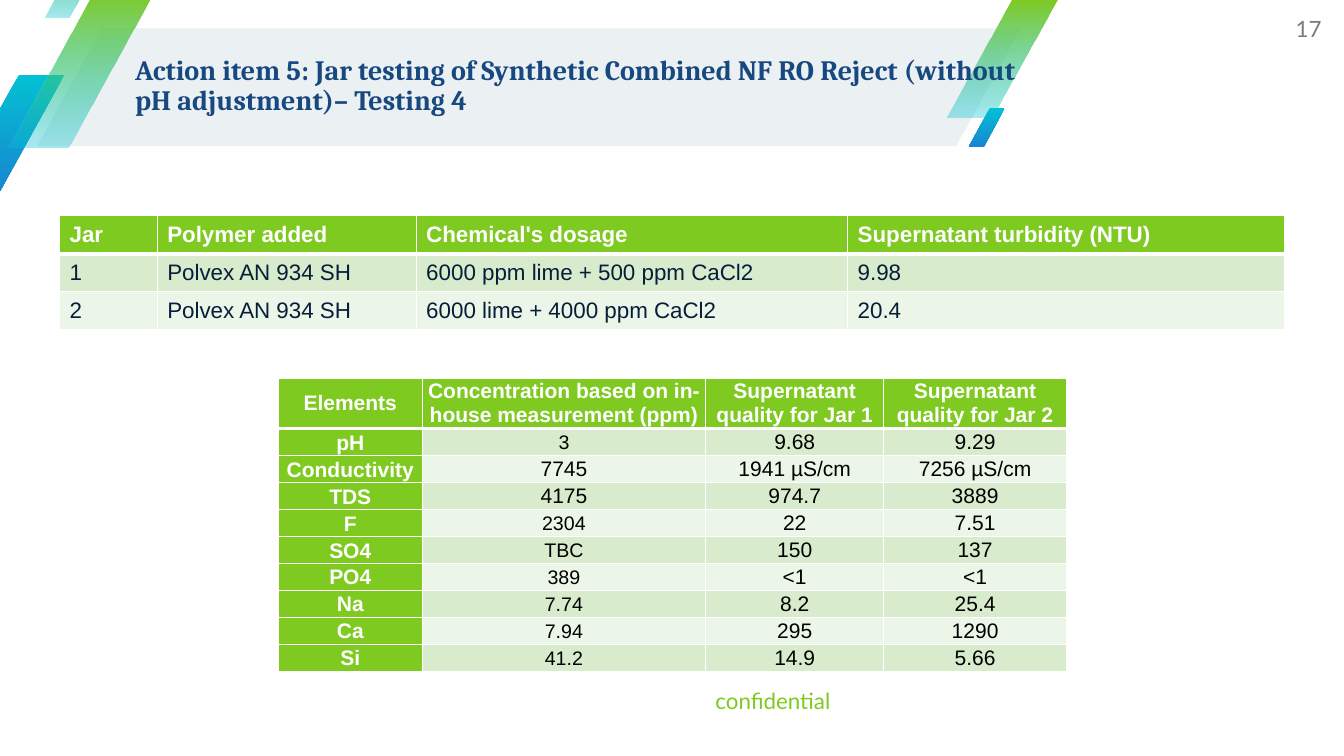
from lxml import etree
from pptx import Presentation
from pptx.dml.color import RGBColor
from pptx.enum.shapes import MSO_SHAPE
from pptx.enum.text import MSO_ANCHOR, PP_ALIGN
from pptx.oxml.ns import qn
from pptx.util import Inches, Pt

PARALLELOGRAM = MSO_SHAPE.PARALLELOGRAM
MIDDLE = MSO_ANCHOR.MIDDLE
LEFT, CENTER, RIGHT = PP_ALIGN.LEFT, PP_ALIGN.CENTER, PP_ALIGN.RIGHT

COLORS = {
    "banner": "EBF0F3", "cyan": "02C1D3", "blue": "1985D2", "green": "7FCA20",
    "title": "184880", "gray": "757C83", "navy": "061E3A", "black": "000000",
    "white": "FFFFFF", "band_dark": "D8ECCD", "band_light": "ECF6E8",
}
GRID_COLUMNS, GRID_ROWS = 96, 54

STRIPES = [
    ((-3.31, 5.33, 7.92, 8.42), "cyan", "blue", 100),
    ((67.61, 0, 7.92, 8.42), "green", "cyan", 34),
    ((0.58, -0.72, 10.51, 11.23), "green", "cyan", 34),
    ((3.17, -3.46, 4.39, 4.68), "green", "cyan", 34),
    ((69.19, 7.7, 2.59, 2.81), "cyan", "blue", 100),
]
JARS = [
    ["Jar", "Polymer added", "Chemical's dosage", "Supernatant turbidity (NTU)"],
    ["1", "Polvex AN 934 SH", "6000 ppm lime + 500 ppm CaCl2", "9.98"],
    ["2", "Polvex AN 934 SH", "6000 lime + 4000 ppm CaCl2", "20.4"],
]
ELEMENTS = [
    ["Elements", "Concentration based on in-house measurement (ppm)",
     "Supernatant quality for Jar 1", "Supernatant quality for Jar 2"],
    ["pH", "3", "9.68", "9.29"],
    ["Conductivity", "7745", "1941 µS/cm", "7256 µS/cm"],
    ["TDS", "4175", "974.7", "3889"],
    ["F", "2304", "22", "7.51"],
    ["SO4", "TBC", "150", "137"],
    ["PO4", "389", "<1", "<1"],
    ["Na", "7.74", "8.2", "25.4"],
    ["Ca", "7.94", "295", "1290"],
    ["Si", "41.2", "14.9", "5.66"],
]
LARGE_READINGS = ("Conductivity", "TDS")


class SlideBuilder:
    def __init__(self, presentation):
        self.slide = presentation.slides.add_slide(presentation.slide_layouts[6])
        self.column = presentation.slide_width / GRID_COLUMNS
        self.row = presentation.slide_height / GRID_ROWS

    def box(self, left, top, width, height):
        return (round(left * self.column), round(top * self.row),
                round(width * self.column), round(height * self.row))

    def color(self, name):
        return RGBColor.from_string(COLORS[name])

    def set_text(self, text_frame, text, font, size, color, bold=False, align=LEFT):
        text_frame.text = text
        paragraph = text_frame.paragraphs[0]
        paragraph.alignment = align
        run_font = paragraph.runs[0].font
        run_font.name, run_font.size, run_font.bold = font, Pt(size), bold
        run_font.color.rgb = self.color(color)
        return paragraph

    def parallelogram(self, box, slant):
        shape = self.slide.shapes.add_shape(PARALLELOGRAM, *self.box(*box))
        shape.adjustments[0] = slant
        shape.shadow.inherit = False
        shape.line.fill.background()
        return shape

    def banner(self, box):
        shape = self.parallelogram(box, 0.55)
        shape.fill.solid()
        shape.fill.fore_color.rgb = self.color("banner")

    def stripe(self, box, start, end, opacity):
        shape = self.parallelogram(box, 0.59)
        shape.fill.gradient()
        shape.fill.gradient_angle = 270
        for stop, name in zip(shape.fill.gradient_stops, (start, end)):
            stop.color.rgb = self.color(name)
        if opacity < 100:
            end_color = shape._element.spPr.findall(".//" + qn("a:srgbClr"))[-1]
            etree.SubElement(end_color, qn("a:alpha"), val=str(opacity * 1000))

    def text(self, box, text, font, size, color, bold=False, align=LEFT, spacing=1.0):
        text_frame = self.slide.shapes.add_textbox(*self.box(*box)).text_frame
        text_frame.word_wrap = True
        text_frame.vertical_anchor = MIDDLE
        text_frame.margin_left = text_frame.margin_right = 0
        text_frame.margin_top = text_frame.margin_bottom = 0
        paragraph = self.set_text(text_frame, text, font, size, color, bold, align)
        paragraph.line_spacing = spacing

    def table(self, left, top, widths, heights, rows, style_cell):
        box = self.box(left, top, sum(widths), sum(heights))
        table = self.slide.shapes.add_table(len(rows), len(widths), *box).table
        for column, width in zip(table.columns, widths):
            column.width = round(width * self.column)
        for row, height in zip(table.rows, heights):
            row.height = round(height * self.row)
        for row_index, values in enumerate(rows):
            for column_index, value in enumerate(values):
                cell = table.cell(row_index, column_index)
                cell.vertical_anchor = MIDDLE
                fill = style_cell(cell, value, row_index, column_index, values[0])
                cell.fill.solid()
                cell.fill.fore_color.rgb = self.color(fill)
                self.borders(cell, row_index)

    def borders(self, cell, row_index):
        weights = {"L": 1, "R": 1, "T": 3 if row_index == 1 else 1,
                   "B": 3 if row_index == 0 else 1}
        properties = cell._tc.get_or_add_tcPr()
        for position, (side, weight) in enumerate(weights.items()):
            line = etree.Element(qn("a:ln" + side), w=str(Pt(weight)))
            solid = etree.SubElement(line, qn("a:solidFill"))
            etree.SubElement(solid, qn("a:srgbClr"), val=COLORS["white"])
            properties.insert(position, line)

    def band(self, row_index):
        return "band_dark" if row_index % 2 else "band_light"

    def jar_cell(self, cell, value, row_index, column_index, label):
        header = row_index == 0
        self.set_text(cell.text_frame, value, "Arial", 16,
                      "white" if header else "navy", header)
        return "green" if header else self.band(row_index)

    def element_cell(self, cell, value, row_index, column_index, label):
        heading = row_index == 0 or column_index == 0
        small = not heading and column_index == 1 and label not in LARGE_READINGS
        cell.margin_left = cell.margin_right = Inches(0.03 if heading else 0.01)
        cell.margin_top = Inches(0 if heading else 0.01)
        cell.margin_bottom = 0
        paragraph = self.set_text(cell.text_frame, value, "Arial", 14 if small else 15,
                                  "white" if heading else "black", heading, CENTER)
        if column_index == 0 and row_index > 0:
            paragraph.line_spacing = 1.07
            paragraph.space_after = Pt(8)
        return "green" if heading else self.band(row_index)


def main():
    presentation = Presentation()
    presentation.slide_width, presentation.slide_height = Inches(13.33), Inches(7.5)
    builder = SlideBuilder(presentation)
    builder.banner((2.66, 2.02, 70.27, 8.42))
    for stripe in STRIPES:
        builder.stripe(*stripe)
    builder.text((33.62, 48.02, 25.7, 4.1), "confidential", "Lato", 16, "green",
                 align=RIGHT)
    builder.text((9.65, 1.87, 63.29, 8.57),
                 "Action item 5: Jar testing of Synthetic Combined NF RO Reject "
                 "(without pH adjustment)– Testing 4",
                 "Cambria", 20, "title", bold=True, spacing=0.9)
    builder.text((89.86, 0, 4.54, 4.1), "17", "Lato", 16, "gray", align=RIGHT)
    builder.table(19.87, 27, [10.3, 20.23, 12.74, 13.03], [3.6] + [1.85] * 9,
                  ELEMENTS, builder.element_cell)
    builder.table(4.25, 15.41, [6.98, 18.5, 30.82, 31.18], [2.71] * 3,
                  JARS, builder.jar_cell)
    presentation.save("out.pptx")


if __name__ == "__main__":
    main()
